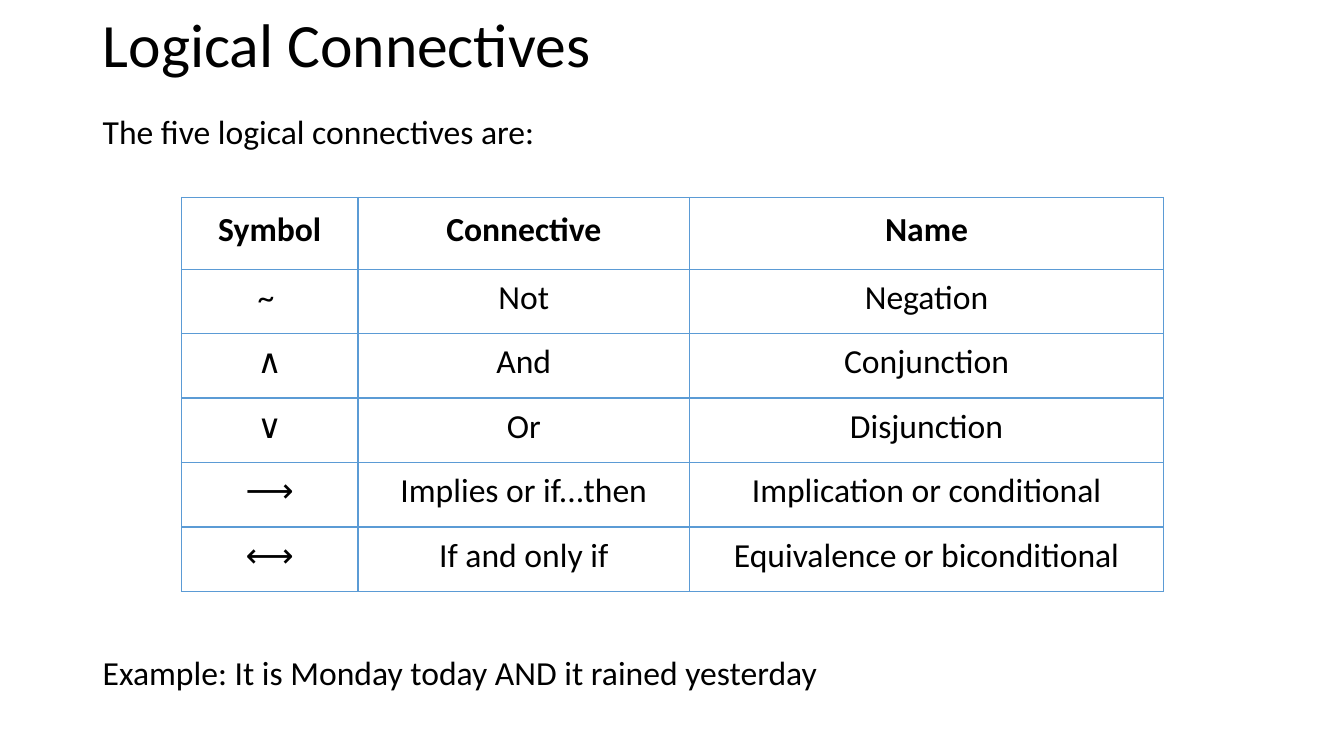
from lxml.etree import SubElement
from pptx import Presentation
from pptx.dml.color import RGBColor
from pptx.enum.text import MSO_ANCHOR, MSO_AUTO_SIZE, PP_ALIGN
from pptx.oxml.ns import qn
from pptx.util import Inches, Pt

BLACK = RGBColor(0x00, 0x00, 0x00)
WHITE = RGBColor(0xFF, 0xFF, 0xFF)
BORDER_BLUE = RGBColor(0x5B, 0x9B, 0xD5)
FONT = "Calibri"

LEFT = 0.92
COLUMN_WIDTHS = [1.75, 3.29, 4.7]
HEADER_HEIGHT = 0.71
ROW_HEIGHT = 0.64
HEADER_INSET = 0.12
ROW_INSET = 0.08
CONNECTIVES = [
    ("Symbol", "Connective", "Name"),
    ("~ ", "Not", "Negation"),
    ("∧", "And", "Conjunction"),
    ("∨", "Or", "Disjunction"),
    ("⟶", "Implies or if...then", "Implication or conditional"),
    ("⟷", "If and only if", "Equivalence or biconditional"),
]


def format_paragraph(paragraph, size=24, bold=False, align=PP_ALIGN.LEFT):
    paragraph.alignment = align
    paragraph.font.name = FONT
    paragraph.font.size = Pt(size)
    paragraph.font.bold = bold
    paragraph.font.color.rgb = BLACK


def place_title(slide, left, top, width, height):
    title = slide.shapes.title
    title.left, title.top = Inches(left), Inches(top)
    title.width, title.height = Inches(width), Inches(height)
    frame = title.text_frame
    frame.text = "Logical Connectives"
    frame.word_wrap = True
    frame.auto_size = MSO_AUTO_SIZE.NONE
    frame.vertical_anchor = MSO_ANCHOR.MIDDLE
    heading = frame.paragraphs[0]
    format_paragraph(heading, size=44)
    heading.line_spacing = 0.9


def add_sentence(slide, sentence, left, top, width, height):
    box = slide.shapes.add_textbox(Inches(left), Inches(top), Inches(width), Inches(height))
    frame = box.text_frame
    frame.word_wrap = True
    frame.auto_size = MSO_AUTO_SIZE.SHAPE_TO_FIT_TEXT
    frame.text = sentence
    format_paragraph(frame.paragraphs[0])


def add_borders(cell):
    properties = cell._tc.get_or_add_tcPr()
    for side in ("a:lnL", "a:lnR", "a:lnT", "a:lnB"):
        line = SubElement(properties, qn(side), w=str(Pt(1)))
        fill = SubElement(line, qn("a:solidFill"))
        SubElement(fill, qn("a:srgbClr"), val=str(BORDER_BLUE))


def format_cell(cell, text, is_header):
    inset = Inches(HEADER_INSET if is_header else ROW_INSET)
    cell.margin_left = cell.margin_right = inset
    cell.margin_top = cell.margin_bottom = inset
    cell.vertical_anchor = MSO_ANCHOR.TOP
    cell.text = text
    format_paragraph(cell.text_frame.paragraphs[0], bold=is_header, align=PP_ALIGN.CENTER)
    add_borders(cell)
    cell.fill.background()


def add_connectives_table(slide, left, top):
    heights = [HEADER_HEIGHT] + [ROW_HEIGHT] * (len(CONNECTIVES) - 1)
    table = slide.shapes.add_table(
        len(heights), len(COLUMN_WIDTHS), Inches(left), Inches(top),
        Inches(sum(COLUMN_WIDTHS)), Inches(sum(heights)),
    ).table
    table.first_row = True
    table.horz_banding = False
    for column, width in zip(table.columns, COLUMN_WIDTHS):
        column.width = Inches(width)
    for row_index, (row, height) in enumerate(zip(table.rows, heights)):
        row.height = Inches(height)
        for cell, text in zip(row.cells, CONNECTIVES[row_index]):
            format_cell(cell, text, is_header=row_index == 0)


def build_connectives_slide(presentation):
    slide = presentation.slides.add_slide(presentation.slide_layouts[5])
    slide.background.fill.solid()
    slide.background.fill.fore_color.rgb = WHITE
    place_title(slide, LEFT, 0.02, 11.5, 0.91)
    add_connectives_table(slide, 1.8, 1.96)
    add_sentence(slide, "The five logical connectives are:", LEFT, 1.05, 6.67, 0.5)
    add_sentence(
        slide, "Example: It is Monday today AND it rained yesterday", LEFT, 6.42, 9.05, 0.5
    )


def main():
    presentation = Presentation()
    presentation.slide_width = Inches(13.33)
    presentation.slide_height = Inches(7.5)
    build_connectives_slide(presentation)
    presentation.save("out.pptx")


if __name__ == "__main__":
    main()
